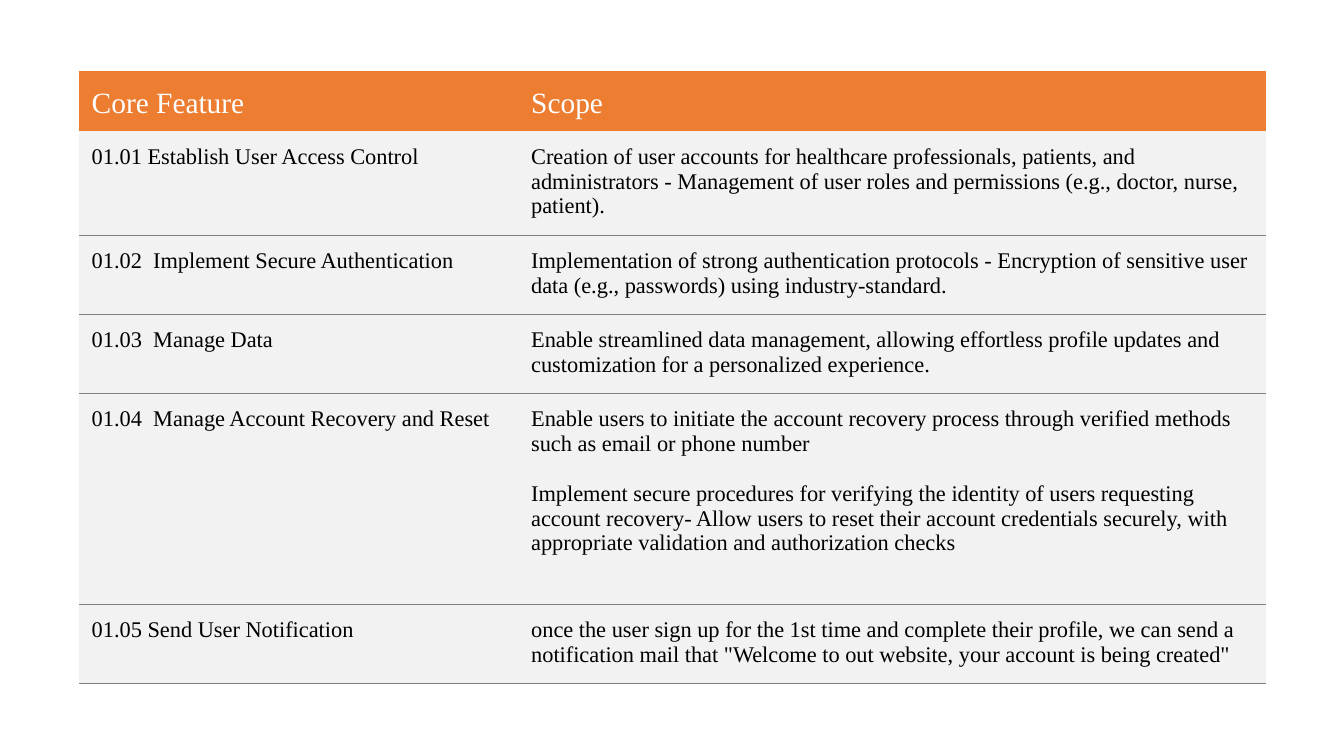
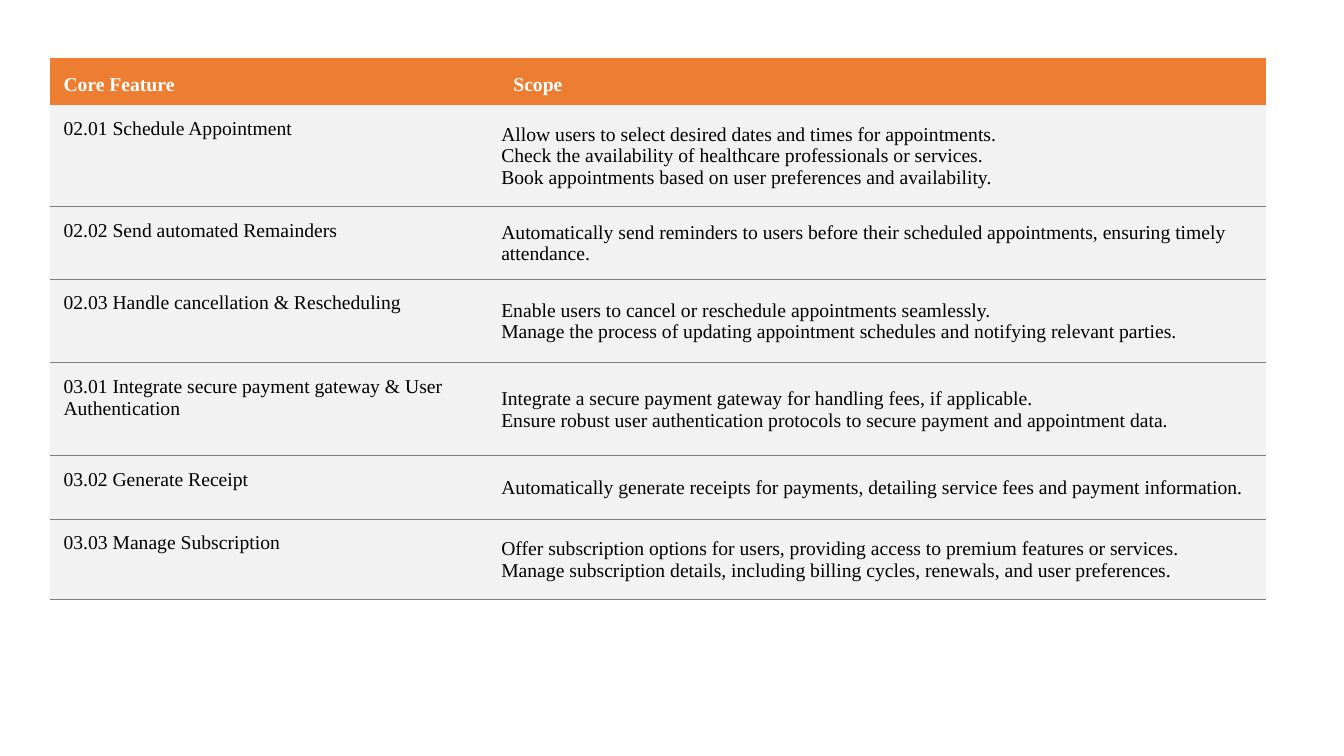
"""Build two slides of feature and scope tables in one shared style."""
from lxml import etree
from pptx import Presentation
from pptx.dml.color import RGBColor
from pptx.enum.text import MSO_ANCHOR
from pptx.oxml.ns import qn
from pptx.util import Inches, Pt

TOP, MIDDLE = MSO_ANCHOR.TOP, MSO_ANCHOR.MIDDLE
ORANGE = RGBColor(0xED, 0x7D, 0x31)
PALE = RGBColor(0xF2, 0xF2, 0xF2)
RULE = RGBColor(0x80, 0x80, 0x80)
WHITE = RGBColor(0xFF, 0xFF, 0xFF)
BLACK = RGBColor(0, 0, 0)

SLIDE_WIDTH, SLIDE_HEIGHT = Inches(13.33), Inches(7.5)
RIGHT_EDGE = Inches(12.56)
FEATURE_SHARE = 0.37
RULE_WEIGHT = Pt(0.75)
FONT = "Times New Roman"
HEADINGS = ("Core Feature", ["Scope"])
SIDES = ("margin_left", "margin_top", "margin_right", "margin_bottom")
ROOMY = dict(zip(SIDES, map(Inches, (0.13, 0.13, 0.13, 0.07))))
TIGHT = dict(zip(SIDES, map(Inches, (0.01, 0.01, 0.01, 0))))
HEADER_CELL = {**ROOMY, "vertical_anchor": MIDDLE}
TOP_CELL = {**ROOMY, "vertical_anchor": TOP}
MIDDLE_CELL = {**TIGHT, "vertical_anchor": MIDDLE}

ACCOUNTS = {
    "left": 0.78, "top": 0.7, "heights": (0.6, 1.04, 0.78, 0.78, 2.1, 0.78),
    "header_font": {"size": Pt(21), "bold": False},
    "body_font": {"size": Pt(16), "bold": False},
    "scope_cell": TOP_CELL, "gap": Pt(18),
    "rows": [
        ("01.01 Establish User Access Control",
         ["Creation of user accounts for healthcare professionals, patients, and "
          "administrators - Management of user roles and permissions "
          "(e.g., doctor, nurse, patient)."]),
        ("01.02  Implement Secure Authentication",
         ["Implementation of strong authentication protocols - Encryption of "
          "sensitive user data (e.g., passwords) using industry-standard."]),
        ("01.03  Manage Data",
         ["Enable streamlined data management, allowing effortless profile updates "
          "and customization for a personalized experience."]),
        ("01.04  Manage Account Recovery and Reset",
         ["Enable users to initiate the account recovery process through verified "
          "methods such as email or phone number",
          "Implement secure procedures for verifying the identity of users "
          "requesting account recovery- Allow users to reset their account "
          "credentials securely, with appropriate validation and authorization "
          "checks"]),
        ("01.05 Send User Notification",
         ["once the user sign up for the 1st time and complete their profile, we "
          "can send a notification mail that \"Welcome to out website, your account "
          "is being created\""]),
    ],
}

APPOINTMENTS = {
    "left": 0.5, "top": 0.58,
    "heights": (0.46, 1.01, 0.72, 0.83, 0.92, 0.63, 0.8),
    "header_font": {"size": Pt(14), "bold": True},
    "body_font": {"size": Pt(14), "bold": False},
    "scope_cell": MIDDLE_CELL, "gap": Pt(0),
    "rows": [
        ("02.01 Schedule Appointment",
         ["Allow users to select desired dates and times for appointments.",
          "Check the availability of healthcare professionals or services.",
          "Book appointments based on user preferences and availability."]),
        ("02.02 Send automated Remainders",
         ["Automatically send reminders to users before their scheduled "
          "appointments, ensuring timely attendance."]),
        ("02.03 Handle cancellation & Rescheduling",
         ["Enable users to cancel or reschedule appointments seamlessly.",
          "Manage the process of updating appointment schedules and notifying "
          "relevant parties."]),
        ("03.01 Integrate secure payment gateway & User Authentication",
         ["Integrate a secure payment gateway for handling fees, if applicable.",
          "Ensure robust user authentication protocols to secure payment and "
          "appointment data."]),
        ("03.02 Generate Receipt",
         ["Automatically generate receipts for payments, detailing service fees "
          "and payment information."]),
        ("03.03 Manage Subscription",
         ["Offer subscription options for users, providing access to premium "
          "features or services.",
          "Manage subscription details, including billing cycles, renewals, and "
          "user preferences."]),
    ],
}


def apply_format(target, values):
    """Set each named attribute on the target."""
    for name, value in values.items():
        setattr(target, name, value)


def set_borders(cell, ruled_sides):
    """Rule the given sides of a cell and clear the others."""
    properties = cell._tc.get_or_add_tcPr()
    for position, side in enumerate(("lnL", "lnR", "lnT", "lnB")):
        border = etree.Element(qn(f"a:{side}"), w=str(RULE_WEIGHT))
        if side in ruled_sides:
            paint = etree.SubElement(border, qn("a:solidFill"))
            etree.SubElement(paint, qn("a:srgbClr"), val=str(RULE))
        else:
            etree.SubElement(border, qn("a:noFill"))
        properties.insert(position, border)


def fill_cell(cell, paragraphs, layout, font, colour, background, gap):
    """Write paragraphs into a cell with its layout, font and background."""
    apply_format(cell, layout)
    cell.fill.solid()
    cell.fill.fore_color.rgb = background
    frame = cell.text_frame
    for index, wording in enumerate(paragraphs):
        paragraph = frame.add_paragraph() if index else frame.paragraphs[0]
        paragraph.space_before = gap if index else Pt(0)
        run = paragraph.add_run()
        run.text = wording
        apply_format(run.font, {"name": FONT, **font})
        run.font.color.rgb = colour


def add_feature_table(slide, topic):
    """Add a table of core features and their scope."""
    left = Inches(topic["left"])
    width = RIGHT_EDGE - left
    heights = [Inches(height) for height in topic["heights"]]
    table = slide.shapes.add_table(
        len(heights), 2, left, Inches(topic["top"]), width, sum(heights)).table
    apply_format(table, {"first_row": False, "horz_banding": False})
    feature_width = round(width * FEATURE_SHARE)
    table.columns[0].width = feature_width
    table.columns[1].width = width - feature_width
    for row, (feature, scope) in enumerate([HEADINGS, *topic["rows"]]):
        table.rows[row].height = heights[row]
        if row == 0:
            layouts = HEADER_CELL, HEADER_CELL
            style = topic["header_font"], WHITE, ORANGE
            ruled_sides = ()
        else:
            layouts = TOP_CELL, topic["scope_cell"]
            style = topic["body_font"], BLACK, PALE
            ruled_sides = ("lnB",) if row == 1 else ("lnT", "lnB")
        for column, paragraphs in enumerate(([feature], scope)):
            cell = table.cell(row, column)
            fill_cell(cell, paragraphs, layouts[column], *style, topic["gap"])
            set_borders(cell, ruled_sides)


def main():
    """Build and save the presentation."""
    deck = Presentation()
    apply_format(deck, {"slide_width": SLIDE_WIDTH, "slide_height": SLIDE_HEIGHT})
    blank = deck.slide_layouts[6]
    for topic in (ACCOUNTS, APPOINTMENTS):
        add_feature_table(deck.slides.add_slide(blank), topic)
    deck.save("out.pptx")


if __name__ == "__main__":
    main()
